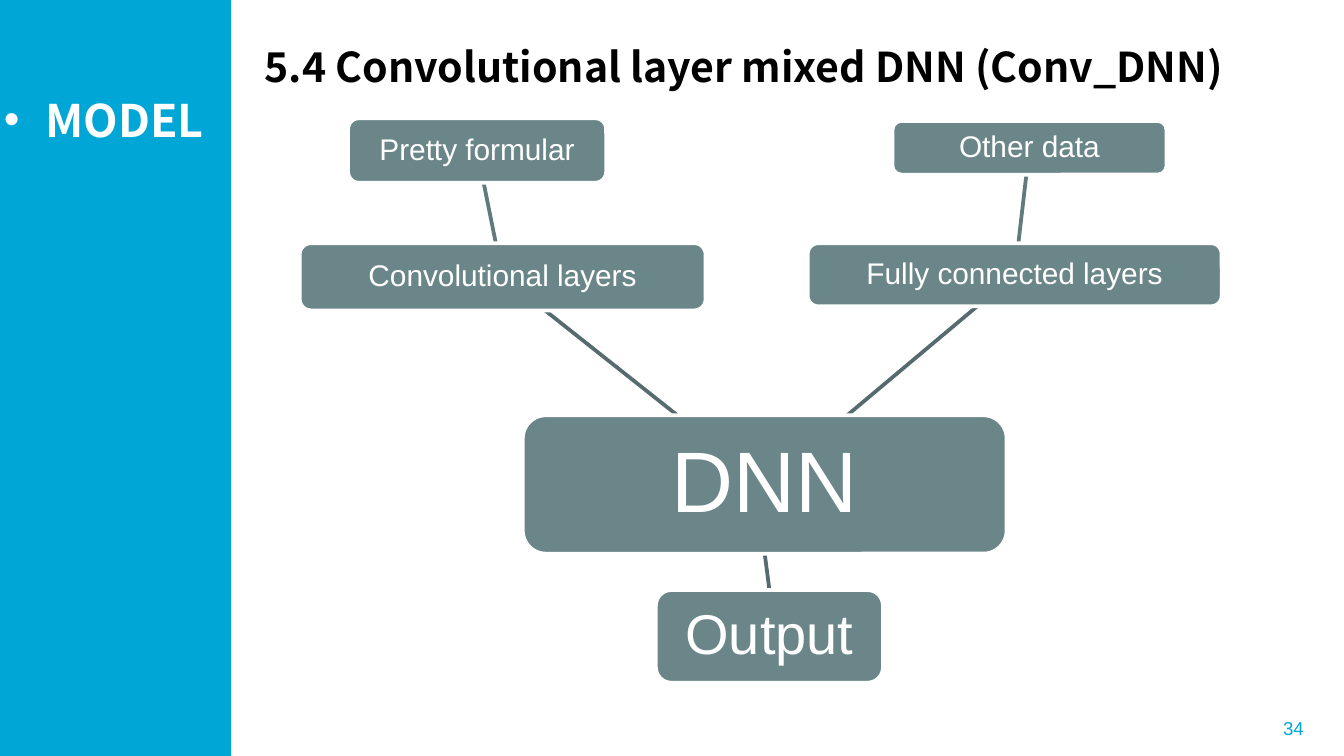
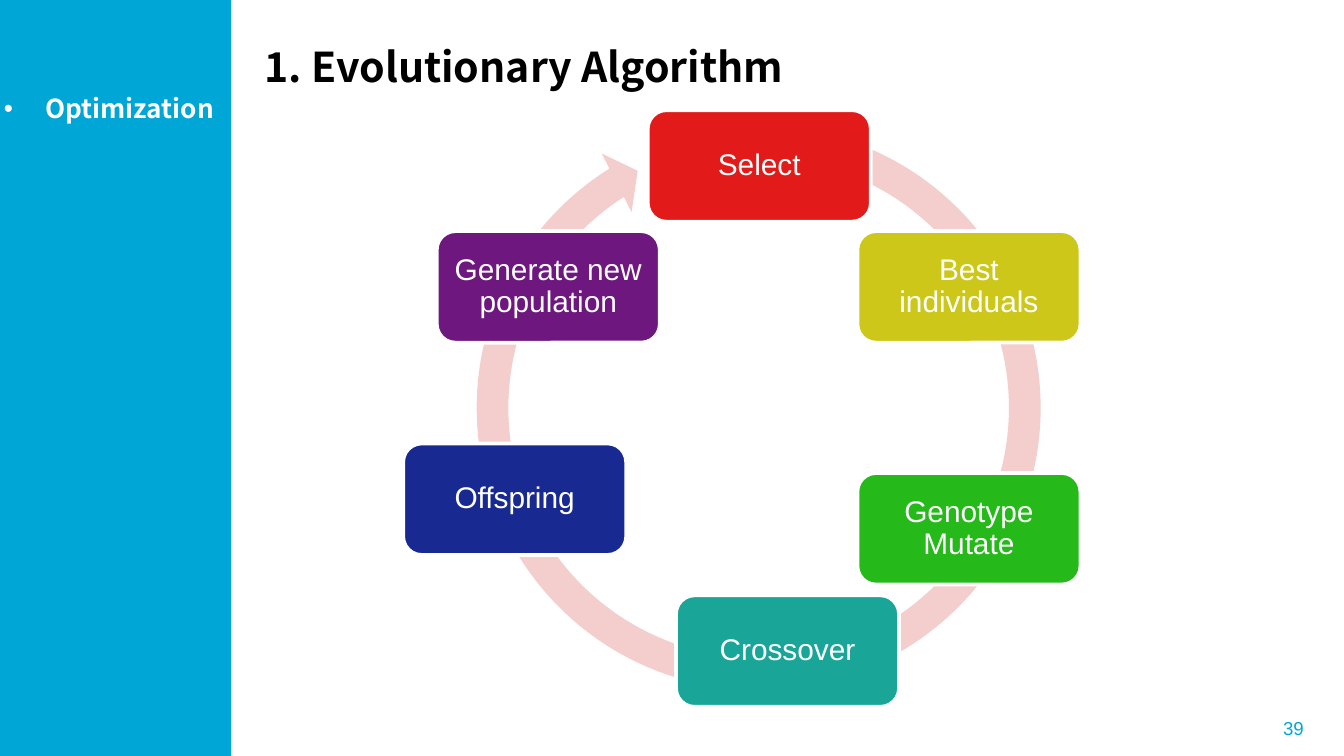
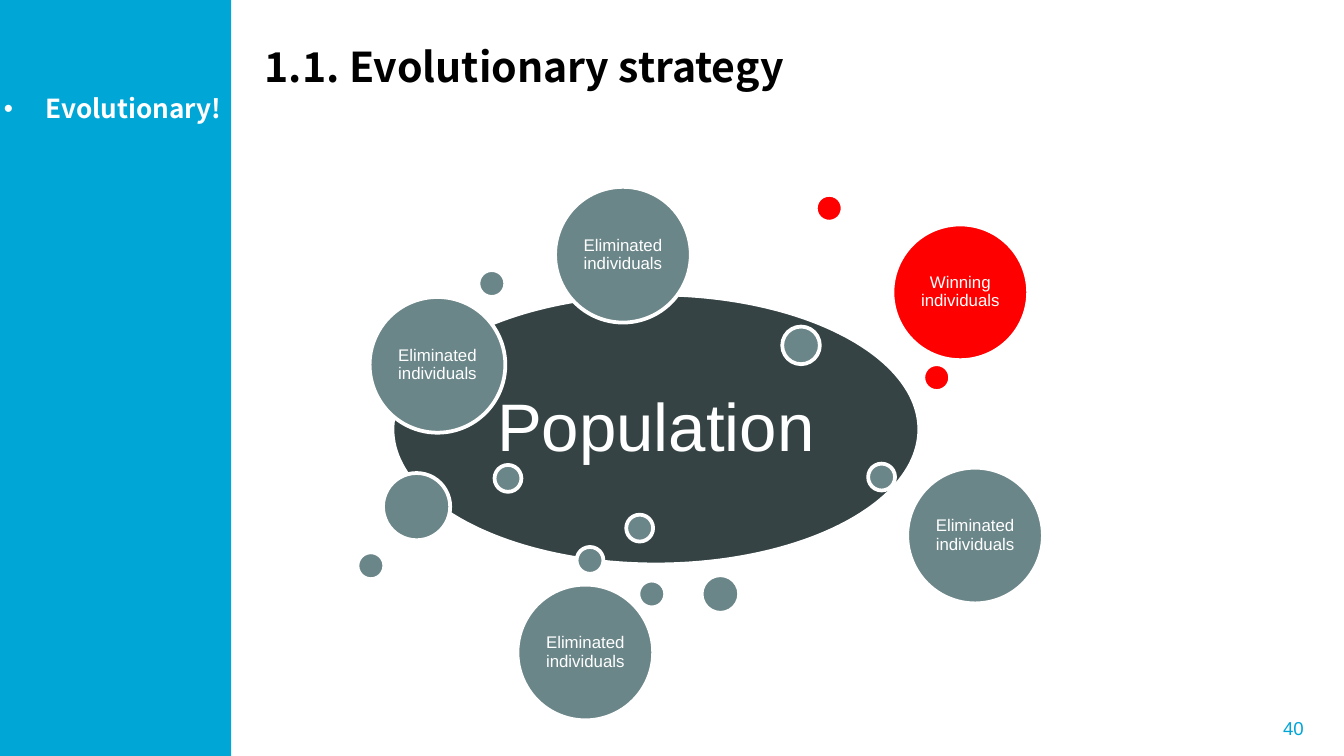
from dataclasses import dataclass

from lxml import etree
from pptx import Presentation
from pptx.dml.color import RGBColor
from pptx.enum.shapes import MSO_CONNECTOR, MSO_SHAPE
from pptx.enum.text import MSO_ANCHOR as ANCHOR, MSO_AUTO_SIZE, PP_ALIGN as ALIGN
from pptx.oxml.ns import qn
from pptx.util import Inches, Pt


@dataclass(frozen=True)
class Theme:
    accent: str = "00A6D6"
    white: str = "FFFFFF"
    black: str = "000000"
    slate: str = "6B8689"
    dark: str = "354344"
    line: str = "566B6E"
    light_line: str = "617A7C"
    winner: str = "FF0000"
    cycle: str = "F4CDCD"
    head_font: str = "Noto Sans CJK SC"
    body_font: str = "Arial"
    title_size: int = 22
    number_size: int = 10
    node_size: int = 16
    bubble_size: int = 9
    stroke: int = 2


T = Theme()
WIDTH = 10
HEIGHT = WIDTH * 9 / 16
BAND_WIDTH = 1.72


def box(*lengths):
    return [Inches(v) for v in lengths]


def rgb(color):
    return RGBColor.from_string(color)


def put_text(sp, text, size=T.node_size, color=T.white, font=T.body_font,
             bold=False, align=ALIGN.LEFT, anchor=ANCHOR.TOP, inset=None,
             spacing=1.0, bullet_indent=None):
    """Write one formatted paragraph into a shape; inset and indent in inches."""
    tf = sp.text_frame
    tf.word_wrap = True
    tf.auto_size = MSO_AUTO_SIZE.NONE
    tf.vertical_anchor = anchor
    if inset is not None:
        tf.margin_left = tf.margin_right = Inches(inset)
        tf.margin_top = tf.margin_bottom = Inches(inset)
    p = tf.paragraphs[0]
    p.alignment = align
    p.line_spacing = spacing
    r = p.add_run()
    r.text = text
    r.font.size = Pt(size)
    r.font.name = font
    r.font.bold = bold
    r.font.color.rgb = rgb(color)
    etree.SubElement(r.font._element, qn("a:ea")).set("typeface", font)
    if bullet_indent:
        p_pr = p._p.get_or_add_pPr()
        p_pr.set("marL", str(Inches(bullet_indent)))
        p_pr.set("indent", str(-Inches(bullet_indent)))
        etree.SubElement(p_pr, qn("a:buFont")).set("typeface", T.body_font)
        etree.SubElement(p_pr, qn("a:buChar")).set("char", "•")


def add_shape(s, kind, at, fill, outline=None):
    sp = s.shapes.add_shape(kind, *box(*at))
    sp.shadow.inherit = False
    sp.fill.solid()
    sp.fill.fore_color.rgb = rgb(fill)
    if outline:
        sp.line.color.rgb = rgb(outline)
        sp.line.width = Pt(T.stroke)
    else:
        sp.line.fill.background()
    return sp


def add_node(s, kind, at, fill, text="", size=T.node_size, inset=0.04):
    sp = add_shape(s, kind, at, fill, T.white)
    if text:
        put_text(sp, text, size=size, align=ALIGN.CENTER,
                 anchor=ANCHOR.MIDDLE, inset=inset, spacing=0.9)
    return sp


def add_link(s, upper, lower, color):
    """Link two boxes along the line of their centres, from edge to edge."""
    x1, x2 = (sp.left + sp.width // 2 for sp in (upper, lower))
    y1, y2 = (sp.top + sp.height // 2 for sp in (upper, lower))
    start_y, end_y = upper.top + upper.height, lower.top
    start_x, end_x = (round(x1 + (x2 - x1) * (y - y1) / (y2 - y1))
                      for y in (start_y, end_y))
    ln = s.shapes.add_connector(MSO_CONNECTOR.STRAIGHT,
                                start_x, start_y, end_x, end_y)
    near = Inches(0.02)
    if abs(start_x - x1) < near:
        ln.begin_connect(upper, 2)
    if abs(end_x - x2) < near:
        ln.end_connect(lower, 0)
    ln.line.color.rgb = rgb(color)
    ln.line.width = Pt(T.stroke)
    etree.SubElement(ln.element.spPr, qn("a:effectLst"))
    s.shapes.element.insert(2, ln.element)  # behind the boxes


def add_slide(prs, title, topic, number, topic_size=14, title_width=7.1):
    s = prs.slides.add_slide(prs.slide_layouts[5])
    add_shape(s, MSO_SHAPE.RECTANGLE, (0, 0, BAND_WIDTH, HEIGHT), T.accent)

    heading = s.shapes.title
    heading.left, heading.top, heading.width, heading.height = box(
        1.87, 0.26, title_width, 0.47)
    put_text(heading, title, size=T.title_size, color=T.black,
             font=T.head_font, bold=True)

    side = s.shapes.add_textbox(*box(-0.07, 0.64, 2.66, 0.1 + topic_size / 60))
    put_text(side, topic, size=topic_size, font=T.head_font, bold=True,
             bullet_indent=0.31)

    page = s.shapes.add_textbox(*box(7.27, 5.27, 2.53, 0.3))
    put_text(page, number, size=T.number_size, color=T.accent,
             align=ALIGN.RIGHT, anchor=ANCHOR.MIDDLE)
    return s


def build_network(prs):
    s = add_slide(prs, "5.4 Convolutional layer mixed DNN (Conv_DNN)", "MODEL",
                  "34", topic_size=24, title_width=7.88)
    layers = [
        ("DNN", (3.89, 3.09, 3.6, 1.03), 46, 0.13),
        ("Fully connected layers", (6.01, 1.81, 3.08, 0.47), 16, 0.04),
        ("Other data", (6.64, 0.9, 2.04, 0.4), 16, 0.04),
        ("Output", (4.88, 4.39, 1.69, 0.69), 30, 0.08),
        ("Convolutional layers", (2.23, 1.81, 3.02, 0.5), 16, 0.04),
        ("Pretty formular", (2.59, 0.88, 1.92, 0.48), 16, 0.04),
    ]
    nodes = {text: add_node(s, MSO_SHAPE.ROUNDED_RECTANGLE, at, T.slate, text,
                            size, inset)
             for text, at, size, inset in layers}
    for upper, lower, color in [
        ("Pretty formular", "Convolutional layers", T.light_line),
        ("Other data", "Fully connected layers", T.light_line),
        ("Convolutional layers", "DNN", T.line),
        ("Fully connected layers", "DNN", T.line),
        ("DNN", "Output", T.line),
    ]:
        add_link(s, nodes[upper], nodes[lower], color)


def build_cycle(prs):
    s = add_slide(prs, "1. Evolutionary Algorithm", "Optimization", "39")
    ring = add_shape(s, MSO_SHAPE.CIRCULAR_ARROW, (3.42, 0.81, 4.45, 4.45),
                     T.cycle)
    # Band width, head angle, end angle, start angle, head width
    for i, value in enumerate((0.053, 3.126, 142.646, 171.057, 0.055)):
        ring.adjustments[i] = value
    for text, x, y, fill in [
        ("Select", 4.82, 0.82, "E21A1A"),
        ("Best individuals", 6.38, 1.72, "CDC71A"),
        ("Genotype Mutate", 6.38, 3.52, "25B91A"),
        ("Crossover", 5.03, 4.43, "19A597"),
        ("Offspring", 3, 3.3, "182992"),
        ("Generate new population", 3.25, 1.72, "6D177F"),
    ]:
        add_node(s, MSO_SHAPE.ROUNDED_RECTANGLE, (x, y, 1.66, 0.83), fill,
                 text, inset=0.07)


def build_population(prs):
    s = add_slide(prs, "1.1. Evolutionary strategy", "Evolutionary!", "40")
    add_node(s, MSO_SHAPE.OVAL, (2.92, 2.19, 3.92, 2.01), T.dark, "Population",
             size=36, inset=0.15)
    tiny, small, medium, large = 0.2, 0.28, 0.5, 1.01
    out, win = "Eliminated individuals", "Winning individuals"
    for x, y, d, fill, text in [
        (4.29, 4.07, tiny, T.slate, ""),
        (6.87, 2.71, tiny, T.winner, ""),
        (5.22, 4.28, small, T.slate, ""),
        (4.35, 2.04, tiny, T.slate, ""),
        (3.68, 3.46, tiny, T.slate, ""),
        (2.75, 2.21, large, T.slate, out),
        (4.67, 2.05, small, T.slate, ""),
        (2.85, 3.52, medium, T.slate, ""),
        (4.13, 1.39, large, T.slate, out),
        (5.82, 2.43, small, T.slate, ""),
        (2.66, 4.11, tiny, T.slate, ""),
        (4.66, 3.83, tiny, T.slate, ""),
        (6.75, 3.48, large, T.slate, out),
        (6.46, 3.45, tiny, T.slate, ""),
        (3.85, 4.35, large, T.slate, out),
        (4.75, 4.32, tiny, T.slate, ""),
        (6.64, 1.67, large, T.winner, win),
        (3.56, 2.01, tiny, T.slate, ""),
        (6.07, 1.45, tiny, T.winner, ""),
    ]:
        add_node(s, MSO_SHAPE.OVAL, (x, y, d, d), fill, text, T.bubble_size)


def main():
    prs = Presentation()
    prs.slide_width, prs.slide_height = box(WIDTH, HEIGHT)
    build_network(prs)
    build_cycle(prs)
    build_population(prs)
    prs.save("out.pptx")


if __name__ == "__main__":
    main()
